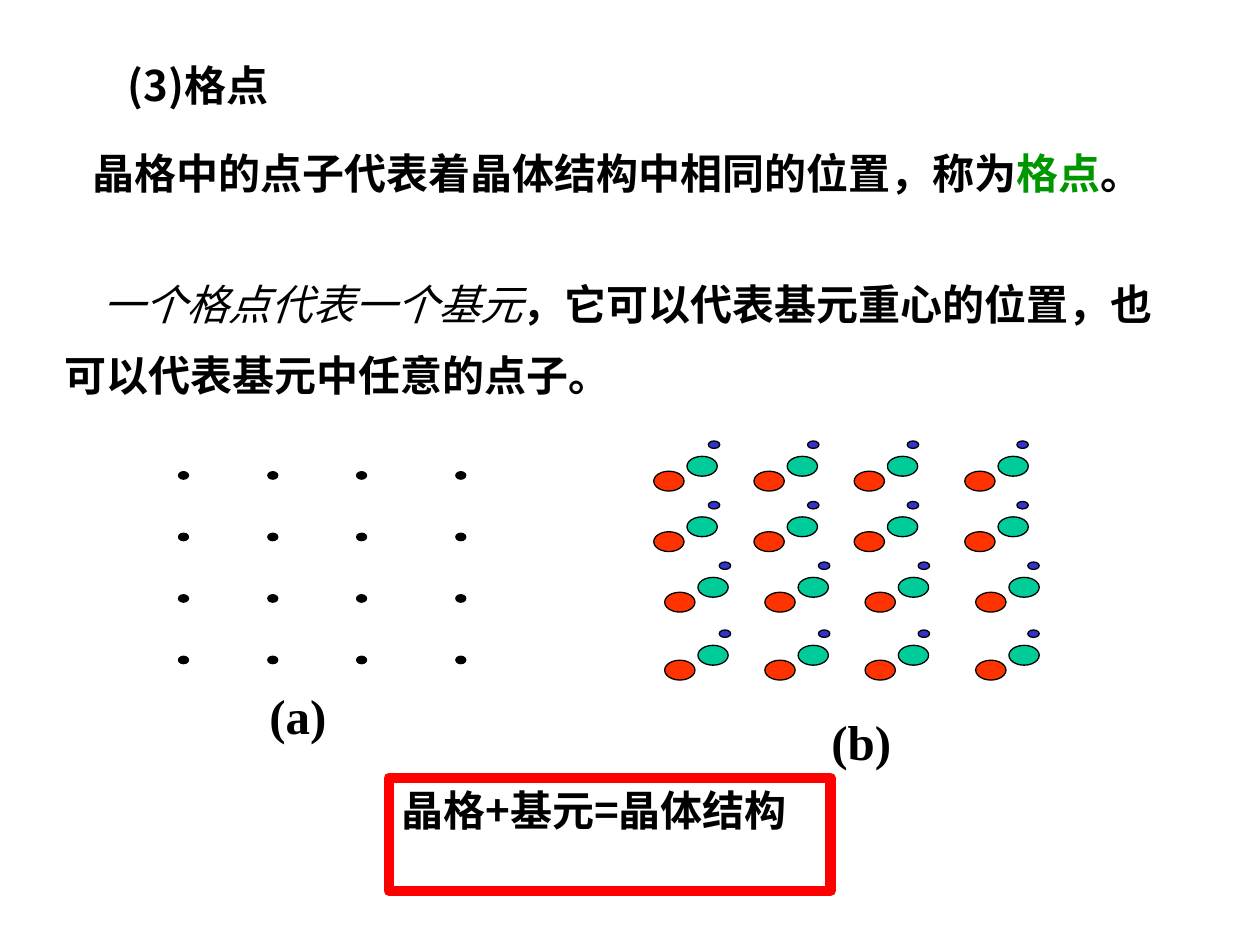
from dataclasses import dataclass

from lxml import etree
from pptx import Presentation
from pptx.dml.color import RGBColor
from pptx.enum.shapes import MSO_SHAPE
from pptx.enum.text import MSO_ANCHOR, MSO_AUTO_SIZE, PP_ALIGN
from pptx.oxml.ns import qn
from pptx.util import Cm, Pt

OVAL = MSO_SHAPE.OVAL
RECTANGLE = MSO_SHAPE.RECTANGLE
TOP = MSO_ANCHOR.TOP
NO_FIT = MSO_AUTO_SIZE.NONE
LEFT = PP_ALIGN.LEFT
TITLE_ONLY = 5


@dataclass(frozen=True)
class Theme:
    body_font: str = "Noto Sans CJK SC"
    label_font: str = "Times New Roman"
    body_size: int = 24
    label_size: int = 28
    ink: str = "000000"
    term: str = "009600"
    frame: str = "FF0000"
    red_atom: str = "FF3300"
    green_atom: str = "00CC99"
    blue_atom: str = "3333CC"
    outline: float = 0.75
    frame_width: float = 6


class SlideBuilder:
    def __init__(self, page, theme):
        self.page = page
        self.theme = theme

    def fill_text(self, box, spans, font=None, size=None, spacing=1.0, indent=0):
        """Fill a box with one paragraph of (text, colour, italic) spans."""
        frame = box.text_frame
        frame.word_wrap = True
        frame.auto_size = NO_FIT
        frame.vertical_anchor = TOP
        frame.margin_left = frame.margin_right = Cm(0.25)
        frame.margin_top = frame.margin_bottom = Cm(0.13)
        para = frame.paragraphs[0]
        para.alignment = LEFT
        para.line_spacing = spacing
        para.space_before = Pt(0)
        properties = para._p.get_or_add_pPr()
        properties.set("indent", str(Cm(indent)))
        para.font.name = font or self.theme.body_font
        para.font.size = Pt(size or self.theme.body_size)
        east_asian = etree.SubElement(properties.find(qn("a:defRPr")), qn("a:ea"))
        east_asian.set("typeface", para.font.name)
        if len(spans) == 1:
            self.style(para.font, *spans[0][1:])
        for text, colour, italic in spans:
            span = para.add_run()
            span.text = text
            if len(spans) > 1:
                self.style(span.font, colour, italic)

    def style(self, font, colour, italic):
        """Emphasised italics are light; everything else is bold."""
        font.bold = not italic
        font.italic = italic
        font.color.rgb = RGBColor.from_string(colour)

    def title(self, text, left, top, width, height):
        box = self.page.shapes.title
        box.left, box.top, box.width, box.height = map(Cm, (left, top, width, height))
        self.fill_text(box, [(text, self.theme.ink, False)])

    def text(self, spans, left, top, width, height, parent=None, **options):
        shapes = (parent or self.page).shapes
        box = shapes.add_textbox(Cm(left), Cm(top), Cm(width), Cm(height))
        self.fill_text(box, spans, **options)

    def label(self, text, left, top, parent):
        self.text([(text, self.theme.ink, False)], left, top, 2.9, 1.45, parent,
                  font=self.theme.label_font, size=self.theme.label_size)

    def framed(self, text, left, top, width, height):
        box = self.page.shapes.add_shape(
            RECTANGLE, Cm(left), Cm(top), Cm(width), Cm(height))
        box.shadow.inherit = False
        box.fill.background()
        box.line.color.rgb = RGBColor.from_string(self.theme.frame)
        box.line.width = Pt(self.theme.frame_width)
        self.fill_text(box, [(text, self.theme.ink, False)])

    def group(self):
        return self.page.shapes.add_group_shape()

    def dot(self, left, top, width, height, colour, parent):
        dot = parent.shapes.add_shape(
            OVAL, Cm(left), Cm(top), Cm(width), Cm(height))
        dot.shadow.inherit = False
        dot.fill.solid()
        dot.fill.fore_color.rgb = RGBColor.from_string(colour)
        dot.line.color.rgb = RGBColor.from_string(self.theme.ink)
        dot.line.width = Pt(self.theme.outline)


def main():
    deck = Presentation()
    deck.slide_width, deck.slide_height = Cm(25.4), Cm(19.05)
    theme = Theme()
    page = deck.slides.add_slide(deck.slide_layouts[TITLE_ONLY])
    slide = SlideBuilder(page, theme)

    # Heading and explanations
    slide.title("(3)格点", 2.33, 1.06, 4.65, 1.28)
    slide.text([("晶格中的点子代表着晶体结构中相同的位置，称为", theme.ink, False),
                ("格点", theme.term, False),
                ("。", theme.ink, False)],
               0.85, 2.75, 23.7, 1.37, spacing=1.1, indent=0.76)
    slide.text([("一个格点代表一个基元", theme.ink, True),
                ("，它可以代表基元重心的位置，也可以代表基元中任意的点子。",
                 theme.ink, False)],
               1.06, 5.08, 23.07, 3.1, spacing=1.4, indent=0.76)

    # Conclusion
    slide.framed("晶格+基元=晶体结构", 7.84, 15.68, 8.9, 2.28)

    # Crystal structure (b): each site holds three atoms, lower rows are shifted
    crystal = slide.group()
    site_columns = (13.18, 15.2, 17.22, 19.45)
    small_columns = (14.28, 16.28, 18.29, 20.5)
    site_rows = ((9.5, 0), (10.72, 0), (11.94, 0.22), (13.31, 0.22))
    for top, shift in site_rows:
        for site, small in zip(site_columns, small_columns):
            left = site + shift
            slide.dot(left + 0.67, top - 0.3, 0.61, 0.4, theme.green_atom, crystal)
            slide.dot(left, top, 0.61, 0.4, theme.red_atom, crystal)
            slide.dot(small + shift, top - 0.61, 0.23, 0.15, theme.blue_atom, crystal)
    slide.label("(b)", 16.51, 14.22, crystal)

    # Lattice (a): one point for each site
    lattice = slide.group()
    for row in range(4):
        for left in (3.6, 5.4, 7.19, 9.19):
            slide.dot(left, 9.51 + row * 1.24, 0.2, 0.15, theme.ink, lattice)
    slide.label("(a)", 5.18, 13.69, lattice)

    deck.save("out.pptx")


if __name__ == "__main__":
    main()
